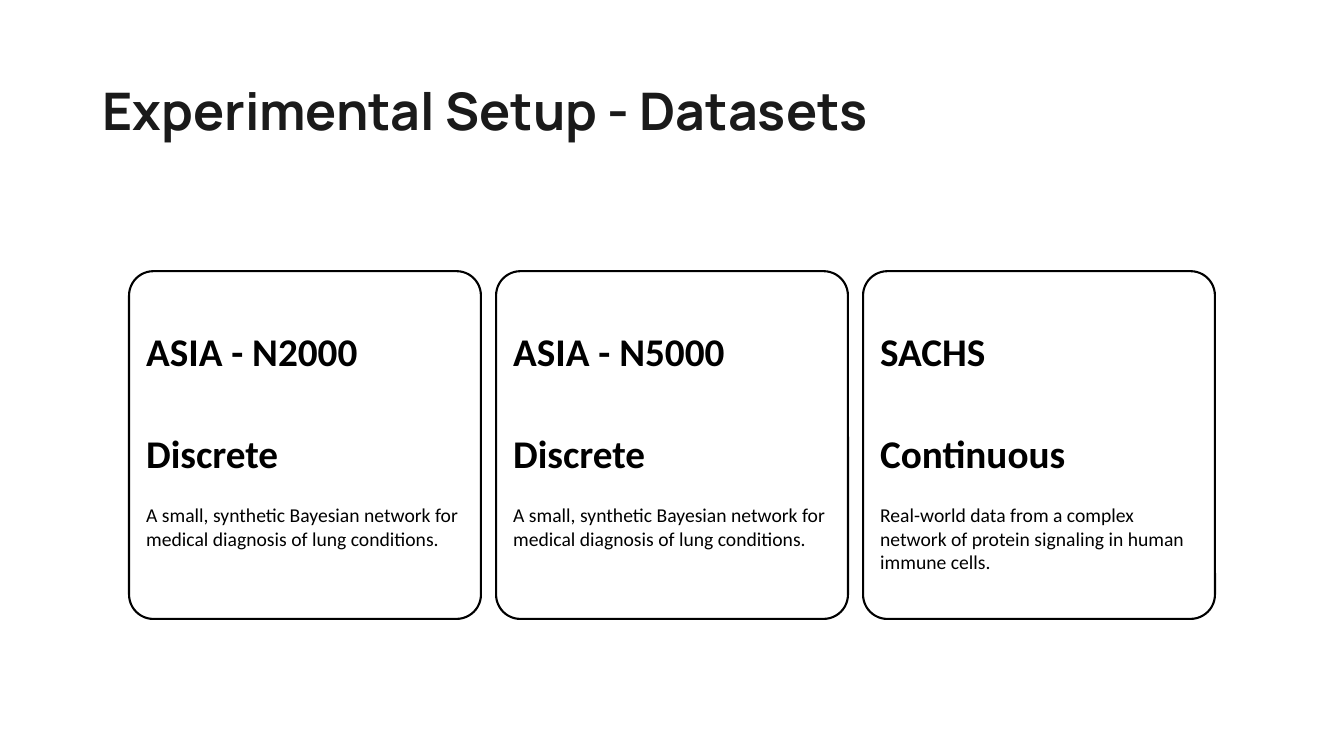
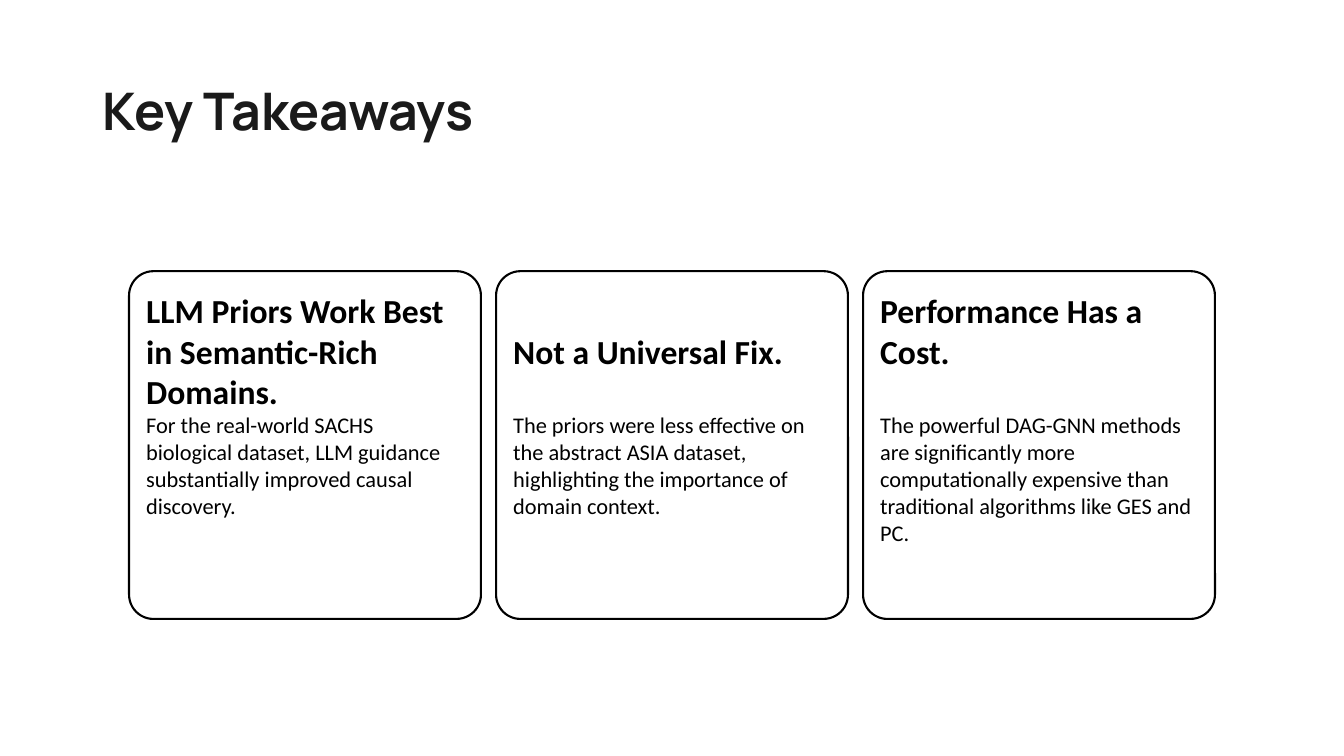
from pptx import Presentation
from pptx.dml.color import RGBColor
from pptx.enum.shapes import MSO_SHAPE
from pptx.enum.text import MSO_ANCHOR
from pptx.util import Emu, Pt

ROUNDED = MSO_SHAPE.ROUNDED_RECTANGLE
TOP, MIDDLE = MSO_ANCHOR.TOP, MSO_ANCHOR.MIDDLE

# Shared style: 100 px to the inch
EMU_PER_PX = 9144
SLIDE_W, SLIDE_H = 1333, 750
INK, TITLE_INK, PAPER = "000000", "1A1A1A", "FFFFFF"
BODY_FONT, TITLE_FONT = "Calibri", "Manrope"

# Card row
CARD_LEFT, CARD_TOP, CARD_W, CARD_H = 128, 269, 349, 345
CARD_PITCH = 364
CARD_PAD = 17
TEXT_W = CARD_W - 2 * CARD_PAD + 1
HEADING_TOP, HEADING_H = 320, 56
KIND_TOP = 421
BODY_BOTTOM = 593

# (name, kind, description)
DATASETS = [
    ("ASIA - N2000", "Discrete",
     "A small, synthetic Bayesian network for medical diagnosis of lung conditions."),
    ("ASIA - N5000", "Discrete",
     "A small, synthetic Bayesian network for medical diagnosis of lung conditions."),
    ("SACHS", "Continuous",
     "Real-world data from a complex network of protein signaling in human immune cells."),
]

# (heading, upward shift of heading, description)
TAKEAWAYS = [
    ("LLM Priors Work Best in Semantic-Rich Domains.", 0,
     "For the real-world SACHS biological dataset, LLM guidance "
     "substantially improved causal discovery."),
    ("Not a Universal Fix.", 0,
     "The priors were less effective on the abstract ASIA dataset, "
     "highlighting the importance of domain context."),
    ("Performance Has a Cost.", 20,
     "The powerful DAG-GNN methods are significantly more computationally "
     "expensive than traditional algorithms like GES and PC."),
]


def px(length):
    return Emu(length * EMU_PER_PX)


def color(hex_string):
    return RGBColor.from_string(hex_string)


def add_text(slide, text, left, top, width, height, *, size, font=BODY_FONT,
             ink=INK, bold=False, anchor=TOP, inset=(0, 0), line_spacing=None):
    box = slide.shapes.add_textbox(px(left), px(top), px(width), px(height))
    frame = box.text_frame
    frame.word_wrap = True
    frame.vertical_anchor = anchor
    frame.margin_left = frame.margin_right = px(inset[0])
    frame.margin_top = frame.margin_bottom = px(inset[1])
    paragraph = frame.paragraphs[0]
    if line_spacing:
        paragraph.line_spacing = line_spacing
    run = paragraph.add_run()
    run.text = text
    run.font.name = font
    run.font.size = Pt(size)
    run.font.bold = bold
    run.font.color.rgb = color(ink)


def add_titled_slide(prs, title):
    slide = prs.slides.add_slide(prs.slide_layouts[6])
    slide.background.fill.solid()
    slide.background.fill.fore_color.rgb = color(PAPER)
    add_text(slide, title, 92, 40, 1150, 145, size=37, font=TITLE_FONT,
             ink=TITLE_INK, bold=True, anchor=MIDDLE, inset=(10, 5),
             line_spacing=0.9)
    return slide


def add_card(slide, column):
    """Draw one card outline and return the left edge of its text."""
    left = CARD_LEFT + column * CARD_PITCH
    card = slide.shapes.add_shape(ROUNDED, px(left), px(CARD_TOP),
                                  px(CARD_W), px(CARD_H))
    card.adjustments[0] = 0.07
    card.shadow.inherit = False
    card.fill.background()
    card.line.color.rgb = color(INK)
    card.line.width = Pt(1.5)
    return left + CARD_PAD


def add_heading(slide, text, left, top, size):
    add_text(slide, text, left, top, TEXT_W, HEADING_H, size=size,
             bold=True, anchor=MIDDLE)


def add_body(slide, text, left, top, size):
    add_text(slide, text, left, top, TEXT_W, BODY_BOTTOM - top, size=size)


def build_datasets(prs):
    slide = add_titled_slide(prs, "Experimental Setup - Datasets")
    for column, (name, kind, description) in enumerate(DATASETS):
        left = add_card(slide, column)
        add_heading(slide, name, left, HEADING_TOP, 28)
        add_heading(slide, kind, left, KIND_TOP, 28)
        add_body(slide, description, left, 499, 14)


def build_takeaways(prs):
    slide = add_titled_slide(prs, "Key Takeaways")
    for column, (heading, shift, description) in enumerate(TAKEAWAYS):
        left = add_card(slide, column)
        add_heading(slide, heading, left, HEADING_TOP - shift, 24)
        add_body(slide, description, left, 408, 16)


def main():
    prs = Presentation()
    prs.slide_width, prs.slide_height = px(SLIDE_W), px(SLIDE_H)
    build_datasets(prs)
    build_takeaways(prs)
    prs.save("out.pptx")


if __name__ == "__main__":
    main()
